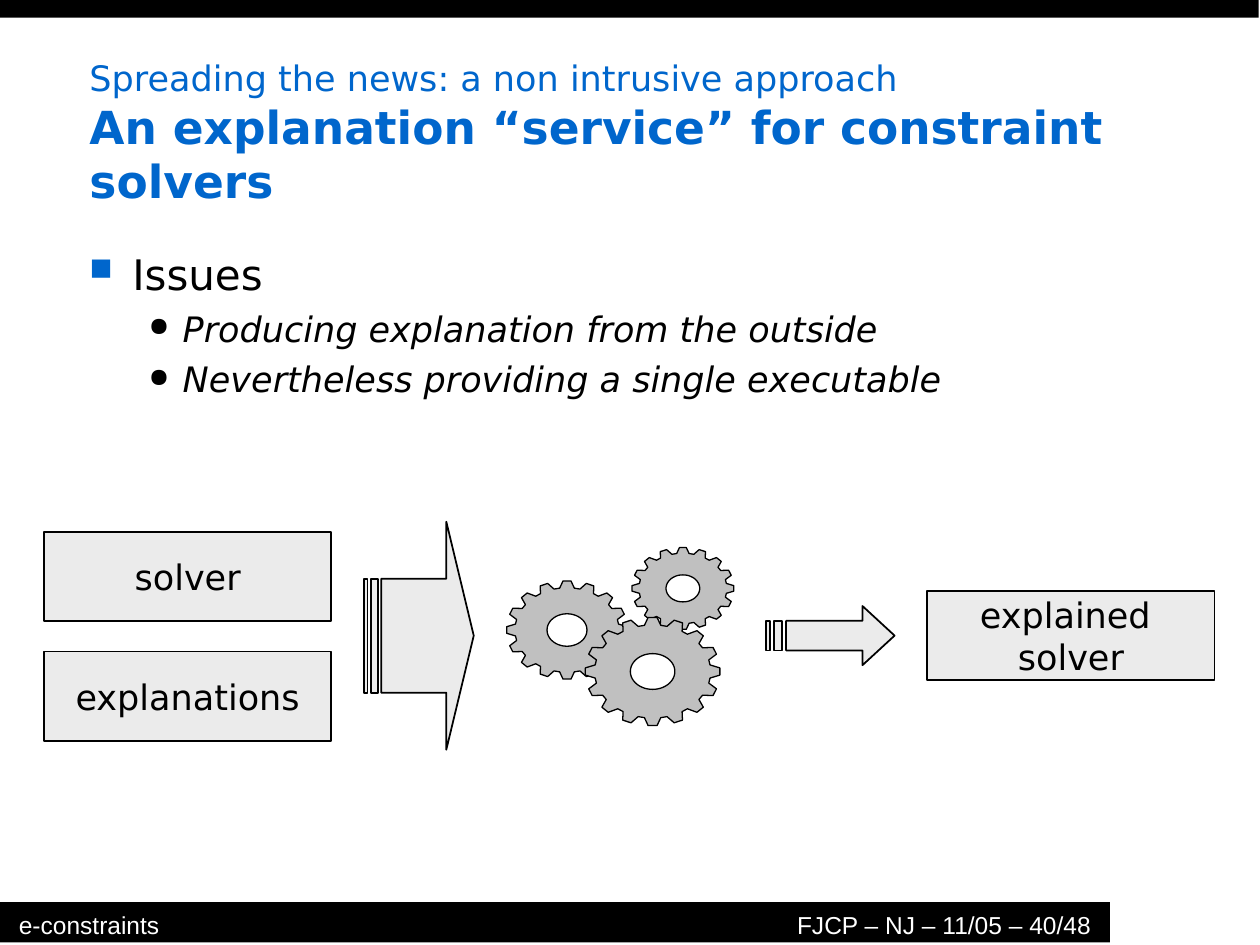
from math import cos, pi, sin

from lxml.etree import SubElement
from pptx import Presentation
from pptx.dml.color import RGBColor
from pptx.enum.shapes import MSO_SHAPE
from pptx.enum.text import MSO_ANCHOR, PP_ALIGN
from pptx.oxml.ns import qn
from pptx.util import Inches, Pt

COLORS = {"black": "000000", "white": "FFFFFF", "blue": "0066CC",
          "box": "EBEBEB", "gear": "C0C0C0"}
BODY_FONT, FOOTER_FONT = "DejaVu Sans", "Arial"

TITLE = "Spreading the news: a non intrusive approach\vAn explanation “service” for constraint solvers"
TITLE_STYLES = [(20, False), (26, True)]  # size, bold
ISSUES = [  # text, level
    ("Issues", 0),
    ("Producing explanation from the outside", 1),
    ("Nevertheless providing a single executable", 1),
]
LEVELS = [  # bullet, bullet colour, left margin, hanging, size, space before
    ("■", "blue", 0.34, 0.34, 24, 6),
    ("●", "black", 0.74, 0.27, 20, 5),
]
BARS = [(0, 0, 9.99, 0.14), (0, 7.16, 8.81, 0.32)]
FOOTERS = [  # text, left, width, alignment
    ("e-constraints", 0.06, 3.44, PP_ALIGN.LEFT),
    ("FJCP – NJ – 11/05 – 40/48", 4.81, 3.94, PP_ALIGN.RIGHT),
]
BOX_SIZE = (2.28, 0.71)
BOXES = [("explanations", 0.35, 5.17), ("solver", 0.35, 4.22),
         ("explained \nsolver", 7.36, 4.69)]
GEARS = [  # centre x, centre y, width, height
    (5.42, 4.67, 0.81, 0.65),
    (4.5, 5, 0.96, 0.78),
    (5.18, 5.33, 1.07, 0.86),
]
ARROWS = [(2.89, 4.14, 0.87, 1.81), (6.08, 4.81, 1.02, 0.47)]

TEETH = 16
ROOT_RADIUS, HOLE_RADIUS = 0.86, 0.33  # shares of the outer radius
ROOT_ANGLE, TIP_ANGLE = 0.36, 0.17  # half widths, shares of the tooth pitch

presentation = Presentation()
presentation.slide_width, presentation.slide_height = Inches(10), Inches(7.5)
slide = presentation.slides.add_slide(presentation.slide_layouts[6])


def rgb(name):
    return RGBColor.from_string(COLORS[name])


def paint(shape, fill, line_width=None):
    shape.shadow.inherit = False
    shape.fill.solid()
    shape.fill.fore_color.rgb = rgb(fill)
    if line_width is None:
        shape.line.fill.background()
    else:
        shape.line.color.rgb = rgb("black")
        shape.line.width = Pt(line_width)


def style(font, size, color="black", name=BODY_FONT, bold=False, italic=False):
    font.size, font.name, font.bold, font.italic = Pt(size), name, bold, italic
    font.color.rgb = rgb(color)


def add_rectangle(left, top, width, height):
    return slide.shapes.add_shape(MSO_SHAPE.RECTANGLE, Inches(left), Inches(top),
                                  Inches(width), Inches(height))


def add_text(text, left, top, width, height):
    frame = slide.shapes.add_textbox(Inches(left), Inches(top), Inches(width),
                                     Inches(height)).text_frame
    frame.word_wrap = True
    frame.margin_left = frame.margin_right = Inches(0.09)
    frame.text = text
    return frame


def add_bullet(paragraph, char, color, margin, hanging):
    properties = paragraph._p.get_or_add_pPr()
    properties.set("marL", str(Inches(margin)))
    properties.set("indent", str(-Inches(hanging)))
    bullet_color = SubElement(properties, qn("a:buClr"))
    SubElement(bullet_color, qn("a:srgbClr"), val=COLORS[color])
    SubElement(properties, qn("a:buSzPct"), val="75000")
    SubElement(properties, qn("a:buChar"), char=char)


def add_outline(contours, fill, line_width):
    """Draw closed contours, given in inches, as one freeform."""
    contours = [[(Inches(x), Inches(y)) for x, y in contour] for contour in contours]
    builder = slide.shapes.build_freeform(*contours[0][0], scale=1.0)
    for number, contour in enumerate(contours):
        if number:
            builder.move_to(*contour[0])
        builder.add_line_segments(contour[1:], close=True)
    paint(builder.convert_to_shape(), fill, line_width)


def gear_contours(center_x, center_y, width, height):
    def point(angle, radius):
        return (center_x + width / 2 * radius * sin(angle),
                center_y - height / 2 * radius * cos(angle))

    pitch = 2 * pi / TEETH
    tooth = [(-ROOT_ANGLE, ROOT_RADIUS), (-TIP_ANGLE, 1),
             (TIP_ANGLE, 1), (ROOT_ANGLE, ROOT_RADIUS)]
    rim = [point((number + offset) * pitch, radius)
           for number in range(TEETH) for offset, radius in tooth]
    hole = [point(-2 * pi * step / 64, HOLE_RADIUS) for step in range(64)]
    return [rim, hole]


def arrow_contours(left, top, width, height):
    """Striped right arrow whose stripes are multiples of 1/32 of its width."""
    upper, lower = 0.25, 0.75
    head = [(5 / 32, upper), (0.75, upper), (0.75, 0), (1, 0.5),
            (0.75, 1), (0.75, lower), (5 / 32, lower)]
    stripes = [[(start, upper), (end, upper), (end, lower), (start, lower)]
               for start, end in [(0, 1 / 32), (2 / 32, 4 / 32)]]
    return [[(left + x * width, top + y * height) for x, y in contour]
            for contour in [head, *stripes]]


for bar in BARS:
    paint(add_rectangle(*bar), "black")

for text, left, width, alignment in FOOTERS:
    footer = add_text(text, left, 7.17, width, 0.32).paragraphs[0]
    footer.alignment = alignment
    style(footer.runs[0].font, 14, "white", FOOTER_FONT)

title = add_text(TITLE, 0.62, 0.4, 8.92, 1.21).paragraphs[0]
for run, (size, bold) in zip(title.runs, TITLE_STYLES):
    style(run.font, size, "blue", bold=bold)

issues = add_text("\n".join(text for text, _ in ISSUES), 0.62, 1.92, 8.77, 4.86)
for number, (paragraph, (_, level)) in enumerate(zip(issues.paragraphs, ISSUES)):
    char, color, margin, hanging, size, space_before = LEVELS[level]
    add_bullet(paragraph, char, color, margin, hanging)
    paragraph.level = level
    if number:
        paragraph.space_before = Pt(space_before)
    style(paragraph.runs[0].font, size, italic=level == 1)

for text, left, top in BOXES:
    box = add_rectangle(left, top, *BOX_SIZE)
    paint(box, "box", 1)
    box.text_frame.text = text
    box.text_frame.word_wrap = False
    box.text_frame.vertical_anchor = MSO_ANCHOR.MIDDLE
    for paragraph in box.text_frame.paragraphs:
        paragraph.alignment = PP_ALIGN.CENTER
        style(paragraph.runs[0].font, 20)

for gear in GEARS:
    add_outline(gear_contours(*gear), "gear", 0.75)

for arrow in ARROWS:
    add_outline(arrow_contours(*arrow), "box", 1)

presentation.save("out.pptx")
